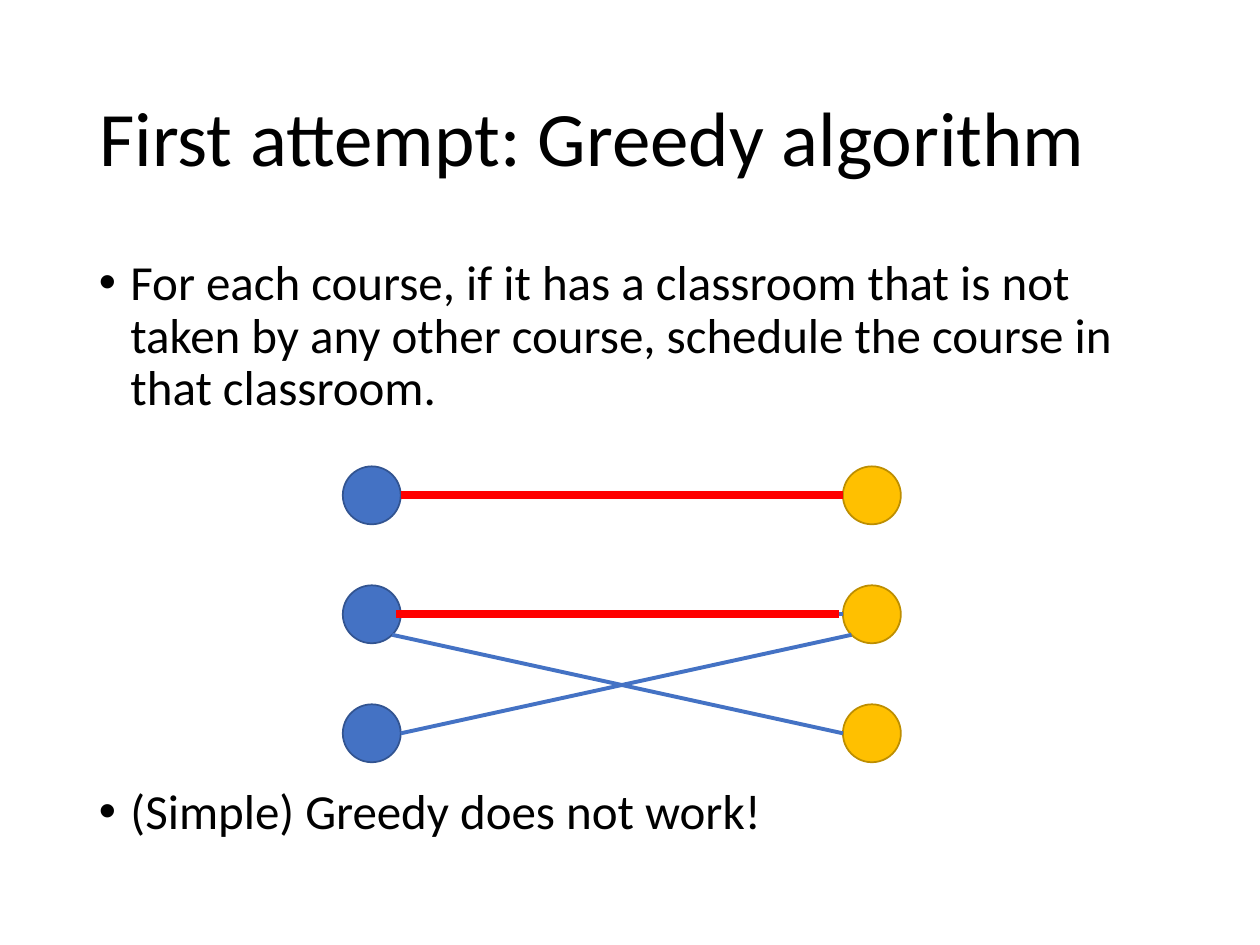
from dataclasses import dataclass
from math import sqrt

from lxml.etree import SubElement
from pptx import Presentation
from pptx.dml.color import RGBColor
from pptx.enum.shapes import MSO_CONNECTOR, MSO_SHAPE
from pptx.enum.text import MSO_ANCHOR, PP_ALIGN
from pptx.oxml.ns import qn
from pptx.util import Pt


@dataclass(frozen=True)
class Theme:
    """Colours, font and sizes of the slide."""
    font: str = "Calibri"
    title_size: float = 44
    body_size: float = 28
    text: str = "000000"
    course: str = "4472C4"
    course_line: str = "325491"
    room: str = "FFC000"
    room_line: str = "BD8E00"
    chosen: str = "FF0000"
    edge_width: float = 2.25
    chosen_width: float = 4.5


@dataclass(frozen=True)
class Column:
    """One side of the graph."""
    left: float
    fill: str
    line: str


@dataclass(frozen=True)
class Edge:
    """A link between two points, in points."""
    start: tuple[float, float]
    end: tuple[float, float]
    color: str
    width: float


@dataclass(frozen=True)
class Bullet:
    """A bulleted paragraph and the gap above it."""
    text: str
    space_before: float


THEME = Theme()
NODE_SIZE = 33.1
FIRST_ROW, ROW_STEP, ROW_COUNT = 266.5, 68, 3
COURSES = Column(195.9, THEME.course, THEME.course_line)
ROOMS = Column(481.7, THEME.room, THEME.room_line)
BULLETS = [
    Bullet("For each course, if it has a classroom that is not taken by any "
           "other course, schedule the course in that classroom.", 10),
    Bullet("(Simple) Greedy does not work!", 212),
]


def apply_format(target, values: dict) -> None:
    """Set every attribute named in the dict."""
    for name, value in values.items():
        setattr(target, name, value)


def write_text(para, text: str, size: float, **values) -> None:
    """Fill a paragraph with one formatted span."""
    apply_format(para, {"alignment": PP_ALIGN.LEFT, "line_spacing": 0.9, **values})
    span = para.add_run()
    span.text = text
    apply_format(span.font, {"name": THEME.font, "size": Pt(size)})
    span.font.color.rgb = RGBColor.from_string(THEME.text)


def add_title(page, text: str) -> None:
    """Place and format the title placeholder."""
    title = page.shapes.title
    apply_format(title, {"left": Pt(49.5), "top": Pt(28.75),
                         "width": Pt(621), "height": Pt(104.4)})
    title.text_frame.vertical_anchor = MSO_ANCHOR.MIDDLE
    write_text(title.text_frame.paragraphs[0], text, THEME.title_size)


def add_bullets(page, bullets: list[Bullet]) -> None:
    """Write the bulleted body text."""
    box = page.shapes.add_textbox(Pt(49.5), Pt(143.75), Pt(621), Pt(356.4))
    box.text_frame.word_wrap = True
    for index, bullet in enumerate(bullets):
        para = (box.text_frame.add_paragraph() if index
                else box.text_frame.paragraphs[0])
        write_text(para, bullet.text, THEME.body_size,
                   space_before=Pt(bullet.space_before))
        properties = para._p.get_or_add_pPr()
        properties.set("marL", str(Pt(18)))
        properties.set("indent", str(-Pt(18)))
        SubElement(properties, qn("a:buFont"), typeface="Arial")
        SubElement(properties, qn("a:buChar"), char="•")


def add_column(page, column: Column) -> None:
    """Draw the evenly spaced nodes of one side."""
    for row in range(ROW_COUNT):
        node = page.shapes.add_shape(
            MSO_SHAPE.OVAL, Pt(column.left), Pt(FIRST_ROW + row * ROW_STEP),
            Pt(NODE_SIZE), Pt(NODE_SIZE))
        node.shadow.inherit = False
        node.fill.solid()
        node.fill.fore_color.rgb = RGBColor.from_string(column.fill)
        node.line.color.rgb = RGBColor.from_string(column.line)
        node.line.width = Pt(1)


def add_edge(page, edge: Edge) -> None:
    """Draw one straight link."""
    line = page.shapes.add_connector(
        MSO_CONNECTOR.STRAIGHT, *(Pt(value) for value in edge.start + edge.end))
    line.line.color.rgb = RGBColor.from_string(edge.color)
    line.line.width = Pt(edge.width)
    SubElement(line._element.spPr, qn("a:effectLst"))


def side(column: Column, row: int, facing: int) -> tuple[float, float]:
    """Return a node's left (-1) or right (1) point."""
    radius = NODE_SIZE / 2
    return (column.left + radius * (1 + facing),
            FIRST_ROW + row * ROW_STEP + radius)


def lower_corner(column: Column, row: int, facing: int) -> tuple[float, float]:
    """Return a node's lower diagonal point on the given side."""
    radius = NODE_SIZE / 2
    reach = radius / sqrt(2)
    return (column.left + radius + facing * reach,
            FIRST_ROW + row * ROW_STEP + radius + reach)


def level_edge(row: int, color: str, width: float, shift: float = 0) -> Edge:
    """Return a horizontal link across one row."""
    (left, y), (right, _) = side(COURSES, row, 1), side(ROOMS, row, -1)
    return Edge((left + shift, y), (right + shift, y), color, width)


def main() -> None:
    """Build and save the slide."""
    deck = Presentation()
    apply_format(deck, {"slide_width": Pt(720), "slide_height": Pt(540)})
    page = deck.slides.add_slide(deck.slide_layouts[5])
    add_title(page, "First attempt: Greedy algorithm")
    add_bullets(page, BULLETS)
    for column in (COURSES, ROOMS):
        add_column(page, column)
    plain = (THEME.course, THEME.edge_width)
    chosen = (THEME.chosen, THEME.chosen_width)
    edges = [
        level_edge(0, *plain),
        level_edge(1, *plain),
        Edge(lower_corner(COURSES, 1, 1), side(ROOMS, 2, -1), *plain),
        Edge(side(COURSES, 2, 1), lower_corner(ROOMS, 1, -1), *plain),
        level_edge(0, *chosen),
        level_edge(1, *chosen, shift=-2.5),
    ]
    for edge in edges:
        add_edge(page, edge)
    deck.save("out.pptx")


main()
